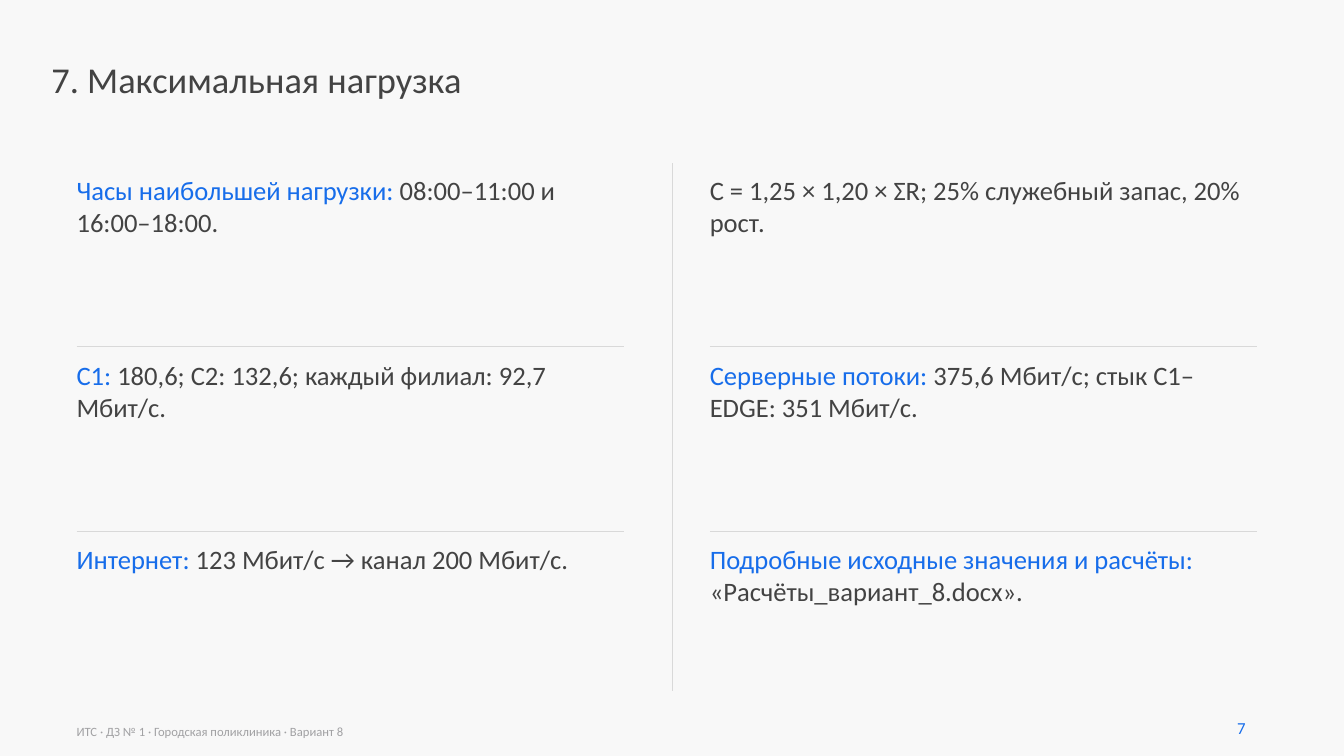
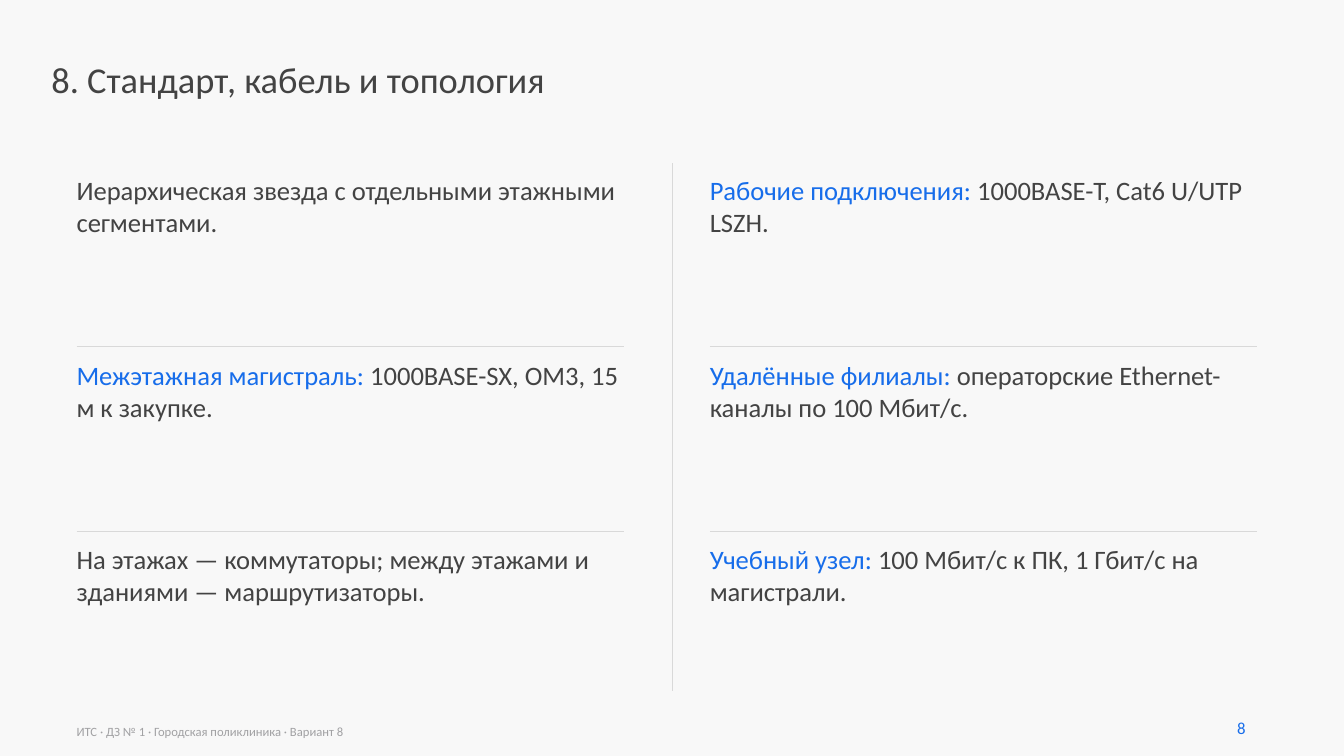
from dataclasses import dataclass

from lxml.etree import SubElement
from pptx import Presentation
from pptx.dml.color import RGBColor
from pptx.enum.shapes import MSO_CONNECTOR
from pptx.enum.text import MSO_AUTO_SIZE
from pptx.oxml.ns import qn
from pptx.util import Inches, Pt


@dataclass(frozen=True)
class Theme:
    font: str = "Calibri"
    background: RGBColor = RGBColor(0xF8, 0xF8, 0xF8)
    text: RGBColor = RGBColor(0x43, 0x43, 0x43)
    accent: RGBColor = RGBColor(0x17, 0x6D, 0xEA)
    rule: RGBColor = RGBColor(0xD9, 0xD9, 0xD9)
    muted: RGBColor = RGBColor(0xA1, 0xA1, 0xA3)
    title_size: int = 26
    body_size: int = 19
    number_size: int = 12
    footer_size: int = 9
    rule_width: float = 0.75


FOOTER = "ИТС · ДЗ № 1 · Городская поликлиника · Вариант 8"
COLUMN_LEFTS = (0.76, 7.04)
COLUMN_WIDTH = 5.43
FIRST_ROW_TOP = 1.73
ROW_PITCH = 1.83
CELL_HEIGHT = 1.55
RULE_GAP = 0.12

SLIDES = [
    (7, "Максимальная нагрузка", [
        ("Часы наибольшей нагрузки:", " 08:00–11:00 и 16:00–18:00."),
        ("", "C = 1,25 × 1,20 × ΣR; 25% служебный запас, 20% рост."),
        ("C1:", " 180,6; C2: 132,6; каждый филиал: 92,7 Мбит/с."),
        ("Серверные потоки:", " 375,6 Мбит/с; стык C1–EDGE: 351 Мбит/с."),
        ("Интернет:", " 123 Мбит/с → канал 200 Мбит/с."),
        ("Подробные исходные значения и расчёты:", " «Расчёты_вариант_8.docx»."),
    ]),
    (8, "Стандарт, кабель и топология", [
        ("", "Иерархическая звезда с отдельными этажными сегментами."),
        ("Рабочие подключения:", " 1000BASE-T, Cat6 U/UTP LSZH."),
        ("Межэтажная магистраль:", " 1000BASE-SX, OM3, 15 м к закупке."),
        ("Удалённые филиалы:", " операторские Ethernet-каналы по 100 Мбит/с."),
        ("", "На этажах — коммутаторы; между этажами и зданиями — маршрутизаторы."),
        ("Учебный узел:", " 100 Мбит/с к ПК, 1 Гбит/с на магистрали."),
    ]),
]


class Deck:
    def __init__(self, theme):
        self.theme = theme
        self.slide = None
        self.presentation = Presentation()
        self.presentation.slide_width = Inches(13.33)
        self.presentation.slide_height = Inches(7.5)
        fill = self.presentation.slide_master.background.fill
        fill.solid()
        fill.fore_color.rgb = theme.background

    def text(self, left, top, width, height, content, size, color, lead=""):
        box = self.slide.shapes.add_textbox(
            Inches(left), Inches(top), Inches(width), Inches(height))
        frame = box.text_frame
        frame.word_wrap = True
        frame.auto_size = MSO_AUTO_SIZE.SHAPE_TO_FIT_TEXT
        frame.margin_left = frame.margin_right = 0
        frame.margin_top = frame.margin_bottom = 0
        paragraph = frame.paragraphs[0]
        paragraph.font.name = self.theme.font
        paragraph.font.size = Pt(size)
        paragraph.font.color.rgb = color
        if lead:
            run = paragraph.add_run()
            run.text = lead
            run.font.color.rgb = self.theme.accent
        paragraph.add_run().text = content

    def rule(self, left, top, right, bottom):
        connector = self.slide.shapes.add_connector(
            MSO_CONNECTOR.STRAIGHT,
            Inches(left), Inches(top), Inches(right), Inches(bottom))
        connector.line.color.rgb = self.theme.rule
        connector.line.width = Pt(self.theme.rule_width)
        SubElement(connector._element.spPr, qn("a:effectLst"))

    def frame(self, number, title):
        theme = self.theme
        blank = self.presentation.slide_layouts[6]
        self.slide = self.presentation.slides.add_slide(blank)
        self.text(0.51, 0.57, 12.26, 0.95, f"{number}. {title}",
                  theme.title_size, theme.text)
        self.text(COLUMN_LEFTS[0], 7.18, 10, 0.18, FOOTER,
                  theme.footer_size, theme.muted)
        self.text(12.27, 7.12, 0.45, 0.27, str(number),
                  theme.number_size, theme.accent)

    def grid(self, cells):
        self.rule(6.67, 1.62, 6.67, 6.86)
        for index, (lead, content) in enumerate(cells):
            row, column = divmod(index, len(COLUMN_LEFTS))
            left = COLUMN_LEFTS[column]
            top = FIRST_ROW_TOP + row * ROW_PITCH
            if row:
                rule_top = top - RULE_GAP
                self.rule(left, rule_top, left + COLUMN_WIDTH, rule_top)
            self.text(left, top, COLUMN_WIDTH, CELL_HEIGHT, content,
                      self.theme.body_size, self.theme.text, lead)


def main():
    deck = Deck(Theme())
    for number, title, cells in SLIDES:
        deck.frame(number, title)
        deck.grid(cells)
    deck.presentation.save("out.pptx")


if __name__ == "__main__":
    main()
